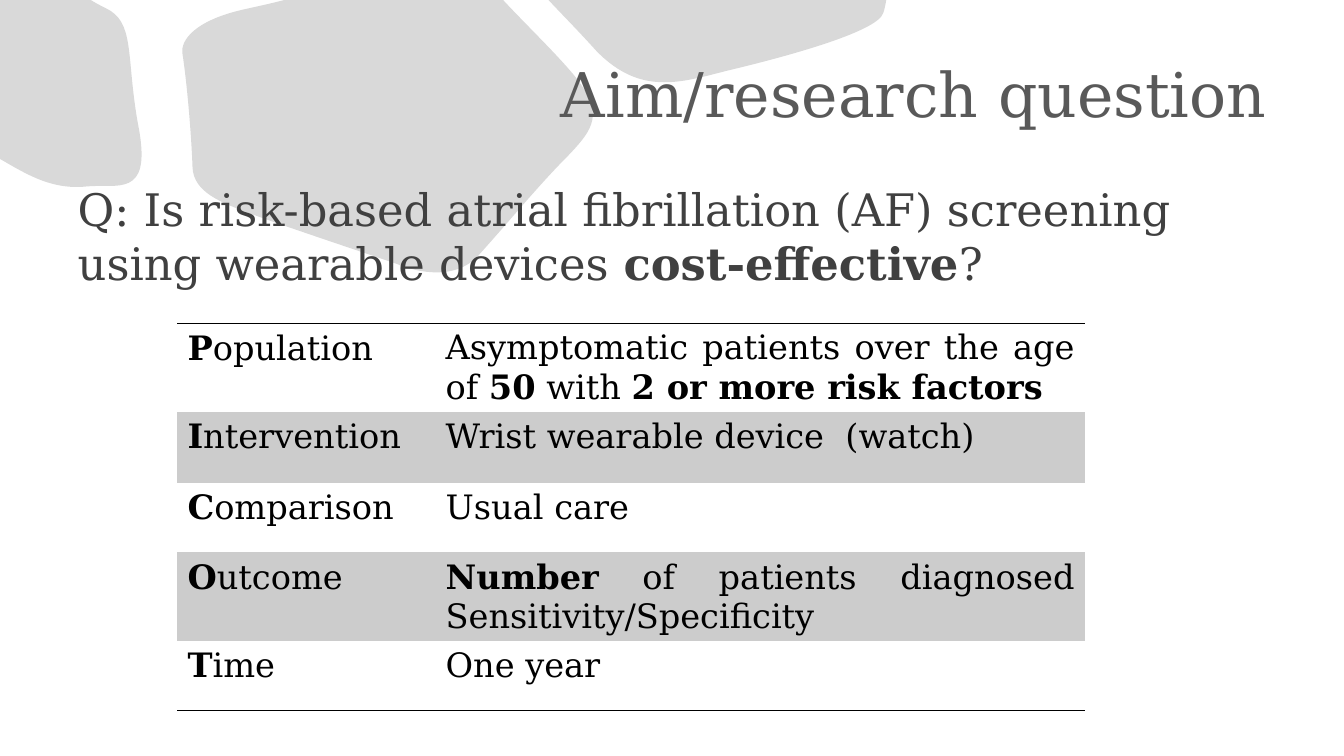
from lxml import etree
from pptx import Presentation
from pptx.dml.color import RGBColor
from pptx.enum.text import MSO_ANCHOR, PP_ALIGN
from pptx.oxml.ns import qn
from pptx.util import Inches, Pt

LEFT, RIGHT, JUSTIFY = PP_ALIGN.LEFT, PP_ALIGN.RIGHT, PP_ALIGN.JUSTIFY
MIDDLE, TOP = MSO_ANCHOR.MIDDLE, MSO_ANCHOR.TOP

FONT = "DejaVu Serif"
BLACK = RGBColor(0x00, 0x00, 0x00)
WHITE = RGBColor(0xFF, 0xFF, 0xFF)
BAND_GREY = RGBColor(0xCC, 0xCC, 0xCC)
STONE_GREY = RGBColor(0xD9, 0xD9, 0xD9)
TITLE_GREY = RGBColor(0x59, 0x59, 0x59)
BODY_GREY = RGBColor(0x40, 0x40, 0x40)

STONES = [
    [(5.44, 0), (5.57, 0.14, 5.73, 0.3, 5.91, 0.5),
     (6.37, 0.98, 6.8, 0.8, 7.26, 0.69), (7.76, 0.57, 8.7, 0.32, 8.76, 0.13),
     (8.77, 0.1, 8.78, 0.06, 8.79, 0)],
    [(1.1, 0.11), (1.05, 0.08, 0.98, 0.05, 0.9, 0), (-0.03, 0), (-0.03, 1.56),
     (0.22, 1.7, 0.49, 1.89, 0.86, 1.85), (1.16, 1.82, 1.5, 1.97, 1.38, 1.29),
     (1.25, 0.62, 1.34, 0.27, 1.1, 0.11)],
    [(4.99, 0), (2.82, 0), (2.67, 0.04, 2.52, 0.07, 2.39, 0.1),
     (1.93, 0.21, 1.79, 0.4, 1.81, 0.53), (1.86, 0.86, 1.9, 1.37, 1.91, 1.66),
     (1.92, 1.91, 2.2, 2.01, 2.46, 2.11), (2.69, 2.2, 3.71, 2.54, 3.94, 2.62),
     (3.94, 2.62, 4.45, 2.85, 4.74, 2.54), (5.03, 2.22, 5.35, 1.83, 5.62, 1.56),
     (5.85, 1.32, 5.99, 1.16, 5.77, 0.85), (5.65, 0.66, 5.23, 0.26, 4.99, 0)],
]

QUESTION = ("Q: Is risk-based atrial fibrillation (AF) screening using "
            "wearable devices **cost-effective**?")
PICOT = [
    ("**P**opulation", "Asymptomatic patients over the age of **50** with "
                       "**2 or more risk factors**", 0.74),
    ("**I**ntervention", "Wrist wearable device  (watch)", 0.7),
    ("**C**omparison", "Usual care", 0.69),
    ("**O**utcome", "**Number** of patients diagnosed Sensitivity/Specificity", 0.69),
    ("**T**ime", "One year", 0.69),
]
COLUMN_WIDTHS = (2.56, 6.44)


def write_text(frame, text, size, color, align):
    """Write one paragraph in which double asterisks enclose bold words."""
    para = frame.paragraphs[0]
    para.alignment = align
    para.space_before = Pt(0)
    for index, part in enumerate(text.split("**")):
        if part:
            span = para.add_run()
            span.text = part
            span.font.name = FONT
            span.font.size = Pt(size)
            span.font.bold = index % 2 == 1
            span.font.color.rgb = color
    return para


def curve_outline(stone, segments):
    """Bend the straight sides of a stone into cubic curves within its box."""
    xs = [Inches(x) for segment in segments for x in segment[::2]]
    ys = [Inches(y) for segment in segments for y in segment[1::2]]
    left, top = min(xs), min(ys)
    width, height = max(xs) - left, max(ys) - top
    stone.left, stone.top, stone.width, stone.height = left, top, width, height
    outline = stone.element.find(f".//{qn('a:path')}")
    outline.set("w", str(width))
    outline.set("h", str(height))
    for side, segment in zip(list(outline), segments):
        if len(segment) == 6:
            side.tag = qn("a:cubicBezTo")
        for point in list(side):
            side.remove(point)
        for x, y in zip(segment[::2], segment[1::2]):
            etree.SubElement(side, qn("a:pt"), x=str(Inches(x) - left),
                             y=str(Inches(y) - top))


def add_stones(page):
    """Draw the grey stones behind everything else."""
    for order, segments in enumerate(STONES):
        corners = [(Inches(segment[-2]), Inches(segment[-1])) for segment in segments]
        builder = page.shapes.build_freeform(*corners[0])
        builder.add_line_segments(corners[1:], close=False)
        stone = builder.convert_to_shape()
        curve_outline(stone, segments)
        outline = stone.element.find(f".//{qn('a:path')}")
        etree.SubElement(outline, qn("a:close"))
        stone.name = f"Stone {order + 1}"
        stone.shadow.inherit = False
        stone.fill.solid()
        stone.fill.fore_color.rgb = STONE_GREY
        stone.line.fill.background()
        tree = stone.element.getparent()
        tree.insert(2 + order, stone.element)


def fill_placeholder(holder, box, text, size, color, align, anchor):
    """Place a placeholder in its box and write its text without a bullet."""
    holder.left, holder.top, holder.width, holder.height = map(Inches, box)
    holder.text_frame.vertical_anchor = anchor
    para = write_text(holder.text_frame, text, size, color, align)
    properties = para._p.get_or_add_pPr()
    properties.set("marL", "0")
    properties.set("indent", "0")
    etree.SubElement(properties, qn("a:buNone"))


def set_borders(cell, ruled_sides):
    """Rule the given sides of a cell in black and clear the others."""
    properties = cell._tc.get_or_add_tcPr()
    for index, side in enumerate("LRTB"):
        line = etree.Element(qn(f"a:ln{side}"), w=str(Pt(1)))
        if side in ruled_sides:
            paint = etree.SubElement(line, qn("a:solidFill"))
            etree.SubElement(paint, qn("a:srgbClr"), val=str(BLACK))
        else:
            etree.SubElement(line, qn("a:noFill"))
        properties.insert(index, line)


def add_picot_table(page, left, top, height):
    """Build the banded table of the research question's parts."""
    frame = page.shapes.add_table(len(PICOT), len(COLUMN_WIDTHS), Inches(left),
                                  Inches(top), Inches(sum(COLUMN_WIDTHS)),
                                  Inches(height))
    table = frame.table
    table.first_row = table.horz_banding = False
    for column, width in zip(table.columns, COLUMN_WIDTHS):
        column.width = Inches(width)
    for row, (term, meaning, row_height) in enumerate(PICOT):
        table.rows[row].height = Inches(row_height)
        ruled_sides = {0: "T", len(PICOT) - 1: "B"}.get(row, "")
        for column, (text, align) in enumerate([(term, LEFT), (meaning, JUSTIFY)]):
            cell = table.cell(row, column)
            cell.fill.solid()
            cell.fill.fore_color.rgb = BAND_GREY if row % 2 else WHITE
            set_borders(cell, ruled_sides)
            write_text(cell.text_frame, text, 24, BLACK, align)
    frame.height = Inches(height)


def build_question_slide(deck):
    """Add the slide with the title, the question and its table."""
    page = deck.slides.add_slide(deck.slide_layouts[1])
    add_stones(page)
    fill_placeholder(page.shapes.title, (0.67, 0.3, 12, 1.25),
                     "Aim/research question", 44, TITLE_GREY, RIGHT, MIDDLE)
    fill_placeholder(page.placeholders[1], (0.67, 1.75, 12, 4.95),
                     QUESTION, 32, BODY_GREY, LEFT, TOP)
    add_picot_table(page, 1.76, 3.21, 3.87)


def main():
    """Build and save the deck."""
    deck = Presentation()
    deck.slide_width, deck.slide_height = Inches(13.33), Inches(7.5)
    build_question_slide(deck)
    deck.save("out.pptx")


if __name__ == "__main__":
    main()
